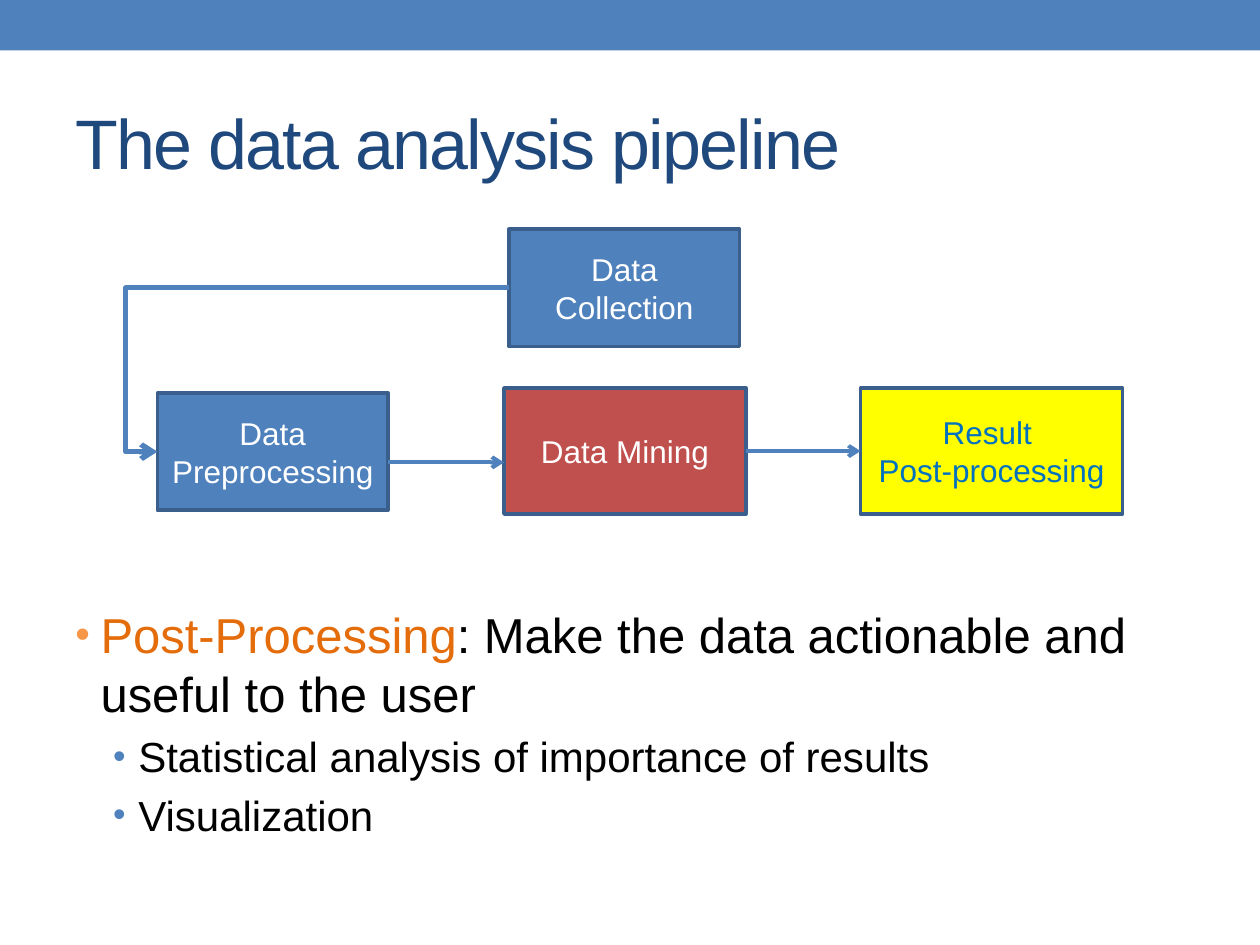
from lxml.etree import SubElement
from pptx import Presentation
from pptx.dml.color import RGBColor
from pptx.enum.shapes import MSO_CONNECTOR, MSO_SHAPE
from pptx.enum.text import MSO_ANCHOR, PP_ALIGN
from pptx.oxml.ns import qn
from pptx.util import Inches, Pt

FONT = "Arial"
BLUE, RED, YELLOW, WHITE = "4F81BD", "C0504D", "FFFF00", "FFFFFF"


def color(hex_value):
    return RGBColor.from_string(hex_value)


def style_font(font, size, hex_value):
    font.name = FONT
    font.size = Pt(size)
    font.color.rgb = color(hex_value)


def add_rectangle(page, left, top, width, height, fill):
    box = page.shapes.add_shape(MSO_SHAPE.RECTANGLE, Inches(left), Inches(top),
                                Inches(width), Inches(height))
    box.shadow.inherit = False
    box.fill.solid()
    box.fill.fore_color.rgb = color(fill)
    return box


def add_band(page, left, top, width, height):
    add_rectangle(page, left, top, width, height, BLUE).line.fill.background()


def add_text_box(page, left, top, width, height):
    box = page.shapes.add_textbox(Inches(left), Inches(top), Inches(width), Inches(height))
    box.text_frame.word_wrap = True
    return box


def add_title(page, left, top, width, height, text):
    frame = add_text_box(page, left, top, width, height).text_frame
    frame.vertical_anchor = MSO_ANCHOR.MIDDLE
    frame.text = text
    span = frame.paragraphs[0].runs[0]
    style_font(span.font, 40, "1F497D")
    span.font._element.set("spc", "-100")


def add_stage(page, left, top, width, height, text, fill=BLUE, text_color=WHITE):
    box = add_rectangle(page, left, top, width, height, fill)
    box.line.color.rgb = color("3A5F8C")
    box.line.width = Pt(2.08)
    frame = box.text_frame
    frame.word_wrap = True
    frame.vertical_anchor = MSO_ANCHOR.MIDDLE
    frame.text = text
    for para in frame.paragraphs:
        para.alignment = PP_ALIGN.CENTER
        for span in para.runs:
            style_font(span.font, 18, text_color)
    return box


def add_arrow(page, kind, start=(0, 0), end=(0, 0), width=2.25):
    arrow = page.shapes.add_connector(kind, Inches(start[0]), Inches(start[1]),
                                      Inches(end[0]), Inches(end[1]))
    arrow.line.color.rgb = color(BLUE)
    arrow.line.width = Pt(width)
    SubElement(arrow.line._get_or_add_ln(), qn("a:tailEnd"), type="arrow")
    SubElement(arrow._element.spPr, qn("a:effectLst"))
    return arrow


def add_pipeline(page, left, top):
    """Place the four stages and their arrows from the given top-left corner."""
    row = top + 1.26
    preprocessing = add_stage(page, left, row + 0.04, 1.83, 0.93, "Data Preprocessing")
    mining = add_stage(page, left + 2.75, row, 1.92, 1, "Data Mining", RED)
    result = add_stage(page, left + 5.58, row, 2.08, 1, "Result \nPost-processing",
                       YELLOW, "0070C0")
    collection = add_stage(page, left + 2.79, top, 1.83, 0.93, "Data Collection")

    add_arrow(page, MSO_CONNECTOR.STRAIGHT, (left + 1.83, row + 0.59), (left + 2.75, row + 0.59))

    to_result = add_arrow(page, MSO_CONNECTOR.STRAIGHT)
    to_result.begin_connect(mining, 3)
    to_result.end_connect(result, 1)

    detour = add_arrow(page, MSO_CONNECTOR.ELBOW, width=3)
    detour.begin_connect(collection, 1)
    detour.end_connect(preprocessing, 1)
    guides = detour._element.spPr.find(qn("a:prstGeom")).get_or_add_avLst()
    SubElement(guides, qn("a:gd"), name="adj1", fmla="val 109000")


def add_bullet(para, indent, bullet_color):
    properties = para._p.get_or_add_pPr()
    properties.set("marL", str(Inches(indent)))
    properties.set("indent", str(Inches(-0.2)))
    holder = SubElement(properties, qn("a:buClr"))
    SubElement(holder, qn("a:srgbClr"), val=bullet_color)
    SubElement(properties, qn("a:buSzPct"), val="85000")
    SubElement(properties, qn("a:buFont"), typeface=FONT)
    SubElement(properties, qn("a:buChar"), char="•")


def add_bullets(page, left, top, width, height, term, meaning, details):
    frame = add_text_box(page, left, top, width, height).text_frame
    para = frame.paragraphs[0]
    add_bullet(para, 0.2, "F79646")
    for text, hex_value in ((term, "E46C0A"), (meaning, "000000")):
        span = para.add_run()
        span.text = text
        style_font(span.font, 28, hex_value)
    for detail in details:
        para = frame.add_paragraph()
        para.text = detail
        para.level = 1
        para.space_before = Pt(4.8)
        add_bullet(para, 0.5, BLUE)
        style_font(para.runs[0].font, 24, "000000")


def main():
    deck = Presentation()
    deck.slide_width, deck.slide_height = Inches(10), Inches(7.5)
    page = deck.slides.add_slide(deck.slide_layouts[6])
    add_band(page, 0, 0, 10, 0.4)
    add_title(page, 0.5, 0.58, 9, 1.08, "The data analysis pipeline")
    add_pipeline(page, 1.25, 1.82)
    add_bullets(page, 0.5, 4.75, 9, 2.67, "Post-Processing",
                ": Make the data actionable and useful to the user",
                ["Statistical analysis of importance of results", "Visualization"])
    deck.save("out.pptx")


if __name__ == "__main__":
    main()
